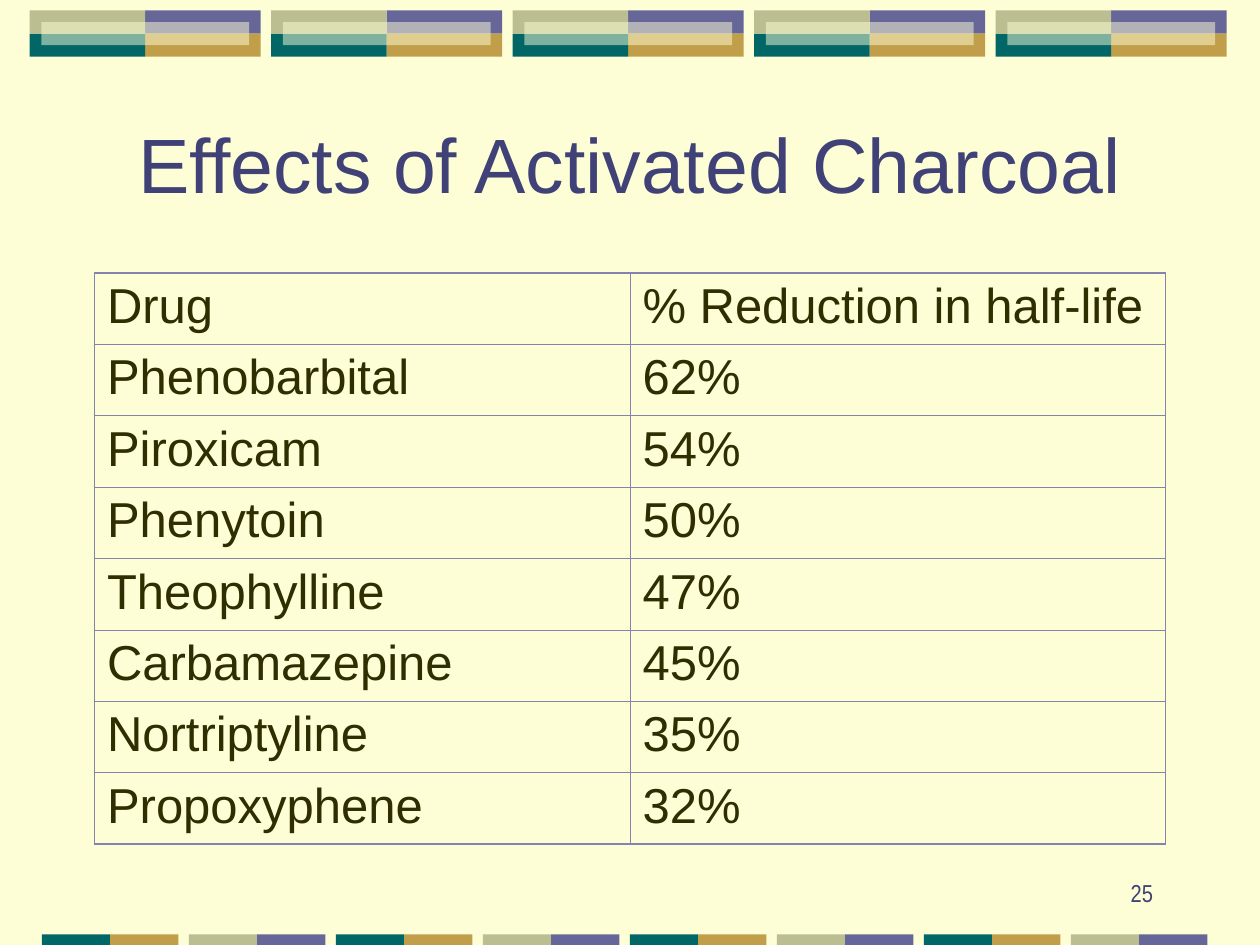
from dataclasses import dataclass

import lxml.etree
import pptx
import pptx.dml.color
import pptx.enum.shapes
import pptx.enum.text
import pptx.oxml
import pptx.oxml.ns
import pptx.util

Pt = pptx.util.Pt
RGBColor = pptx.dml.color.RGBColor
Align = pptx.enum.text.PP_ALIGN
Anchor = pptx.enum.text.MSO_ANCHOR
qn = pptx.oxml.ns.qn


@dataclass(frozen=True)
class Theme:
    background: str = "FEFED6"
    purple: str = "666699"
    gold: str = "C09E4A"
    teal: str = "006666"
    sage: str = "BABE90"
    heading: str = "404176"
    body: str = "2E2E01"
    border: str = "8383AD"
    font: str = "Arial"
    number_font: str = "Arial Narrow"
    title_size: int = 44
    table_size: int = 28
    number_size: int = 14
    outer_line: float = 1.08
    inner_line: float = 0.45


theme = Theme()


def add_block(left, top, width, height, color):
    block = slide.shapes.add_shape(
        pptx.enum.shapes.MSO_SHAPE.RECTANGLE, Pt(left), Pt(top), Pt(width), Pt(height))
    block.shadow.inherit = False
    block.fill.solid()
    block.fill.fore_color.rgb = RGBColor.from_string(color)
    block.line.fill.background()
    return block


def add_run(paragraph, text, size, color, font=theme.font):
    run = paragraph.add_run()
    run.text = text
    run.font.name = font
    run.font.size = Pt(size)
    run.font.color.rgb = RGBColor.from_string(color)


presentation = pptx.Presentation()
presentation.slide_width = Pt(720)
presentation.slide_height = Pt(540)
slide = presentation.slides.add_slide(presentation.slide_layouts[5])
slide.background.fill.solid()
slide.background.fill.fore_color.rgb = RGBColor.from_string(theme.background)

# Top band: five four-colour tiles, each with a translucent bar inside
half_width, half_height = 66, 13.2
for tile in range(5):
    left, top = 17 + 138 * tile, 6
    for column, row, color in ((1, 0, theme.purple), (1, 1, theme.gold),
                               (0, 1, theme.teal), (0, 0, theme.sage)):
        add_block(left + column * half_width, top + row * half_height,
                  half_width, half_height, color)
    bar = add_block(left + 6.6, top + 6.6, 118.8, half_height, theme.background)
    bar_color = bar.fill._xPr.find(qn("a:solidFill"))[0]
    lxml.etree.SubElement(bar_color, qn("a:alpha"), val="50000")

# Bottom band: two-colour strips in alternating pairs
strip_colors = ((theme.teal, theme.gold), (theme.sage, theme.purple))
for strip in range(8):
    for side, color in enumerate(strip_colors[strip % 2]):
        add_block(24 + 84 * strip + 39 * side, 534, 39, 6, color)

# Title
title = slide.shapes.title
title.left, title.top, title.width, title.height = Pt(54), Pt(48), Pt(612), Pt(90)
title.text_frame.vertical_anchor = Anchor.MIDDLE
paragraph = title.text_frame.paragraphs[0]
paragraph.alignment = Align.CENTER
add_run(paragraph, "Effects of Activated Charcoal", theme.title_size, theme.heading)

# Table
rows = (
    ("Drug", "% Reduction in half-life"),
    ("Phenobarbital", "62%"),
    ("Piroxicam", "54%"),
    ("Phenytoin", "50%"),
    ("Theophylline", "47%"),
    ("Carbamazepine", "45%"),
    ("Nortriptyline", "35%"),
    ("Propoxyphene", "32%"),
)
row_height = 40.8
table = slide.shapes.add_table(
    len(rows), 2, Pt(54), Pt(156), Pt(612), Pt(row_height * len(rows))).table
table.first_row = False
table.horz_banding = False
for row_index, row in enumerate(rows):
    table.rows[row_index].height = Pt(row_height)
    for column_index, text in enumerate(row):
        cell = table.cell(row_index, column_index)
        add_run(cell.text_frame.paragraphs[0], text, theme.table_size, theme.body)
        on_edge = {"a:lnL": column_index == 0, "a:lnR": column_index == 1,
                   "a:lnT": row_index == 0, "a:lnB": row_index == len(rows) - 1}
        cell_properties = cell._tc.get_or_add_tcPr()
        for tag, is_outer in on_edge.items():
            width = Pt(theme.outer_line if is_outer else theme.inner_line)
            line = lxml.etree.SubElement(cell_properties, qn(tag), w=str(int(width)))
            fill = lxml.etree.SubElement(line, qn("a:solidFill"))
            lxml.etree.SubElement(fill, qn("a:srgbClr"), val=theme.border)
        cell.fill.background()

# Slide number
number_box = slide.shapes.add_textbox(Pt(516), Pt(486), Pt(150), Pt(36))
number_box.text_frame.word_wrap = True
number_box.text_frame.vertical_anchor = Anchor.BOTTOM
paragraph = number_box.text_frame.paragraphs[0]
paragraph.alignment = Align.RIGHT
add_run(paragraph, "25", theme.number_size, theme.heading, theme.number_font)

presentation.save("out.pptx")
